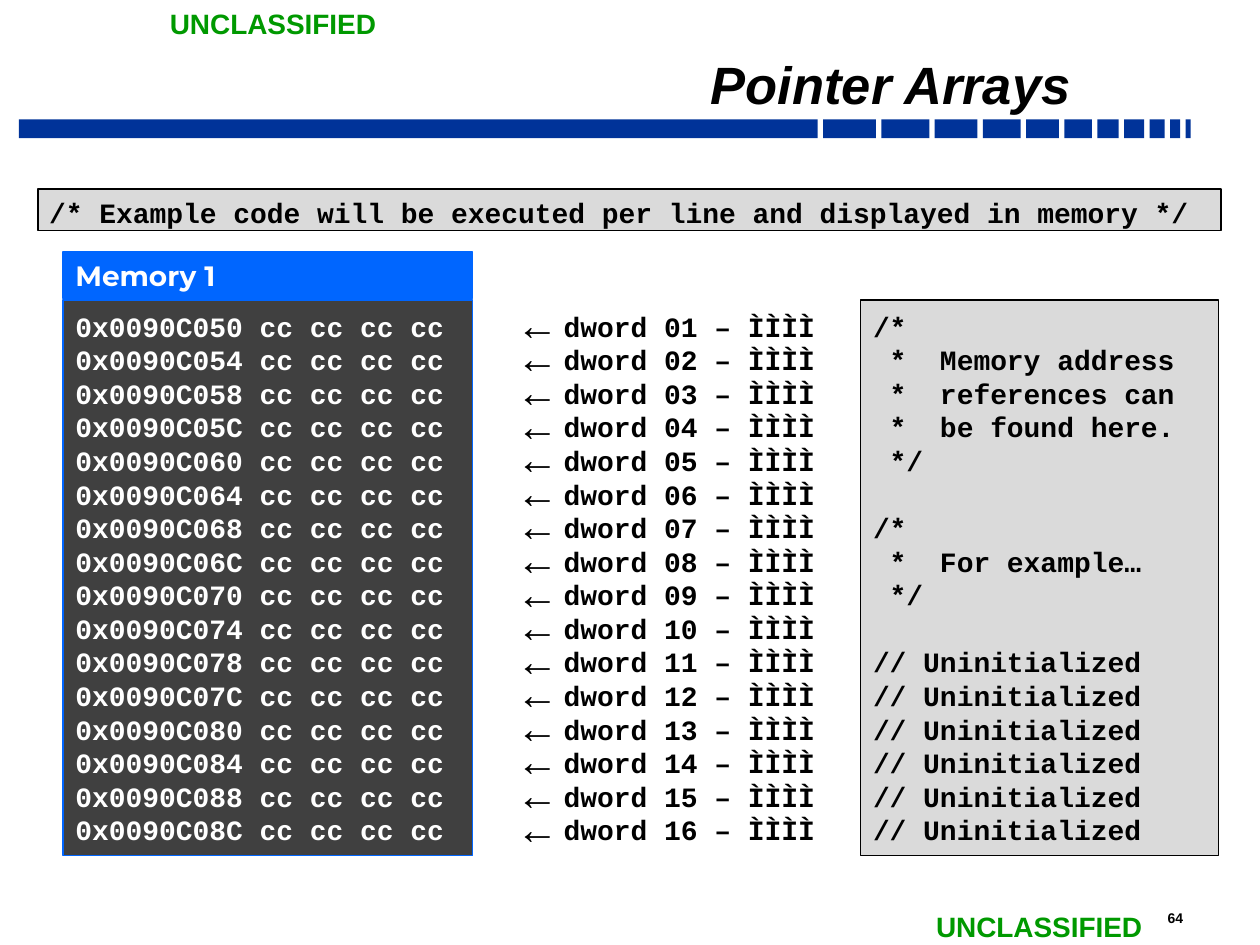
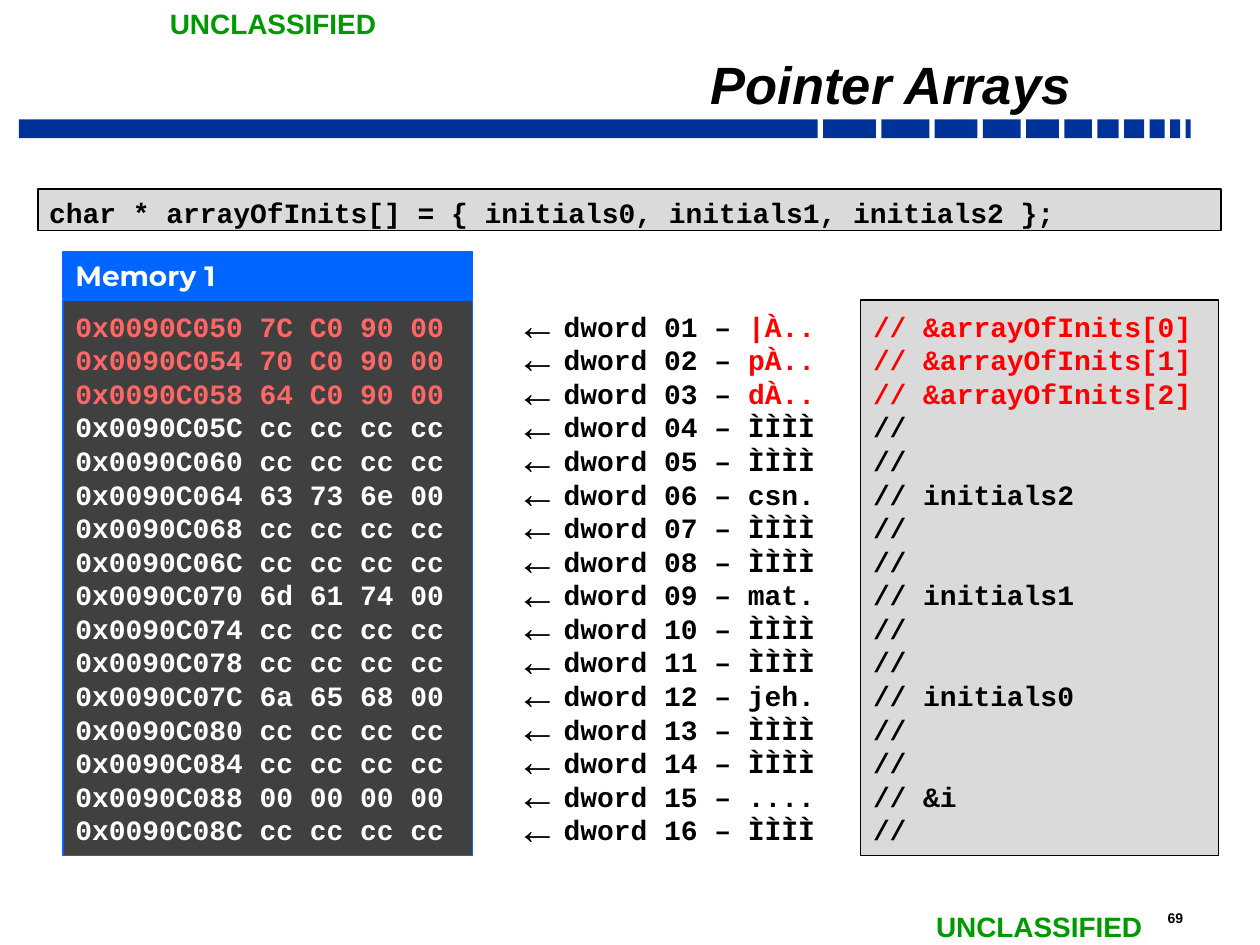
from lxml.etree import SubElement
from pptx import Presentation
from pptx.dml.color import RGBColor
from pptx.enum.shapes import MSO_SHAPE
from pptx.enum.text import MSO_ANCHOR, MSO_AUTO_SIZE, PP_ALIGN
from pptx.oxml.ns import qn
from pptx.util import Pt

COLORS = {
    "band": "003399", "marking": "009900", "header": "0066FF",
    "memory": "404040", "panel": "DADADA", "ink": "000000",
    "white": "FFFFFF", "changed": "FF0000", "changed_memory": "FF6666",
}
CODE_FONT = "Courier New"
LINE_PITCH = 19.2
FIRST_ADDRESS = 0x0090C050
DWORDS = 16
UNSET = ("cc cc cc cc", "ÌÌÌÌ")
BAND_WIDTHS = [456.5, 30.2, 27.4, 24.5, 21.6, 18.7, 15.8, 12.2, 11.5, 8.6, 5.8, 2.9]
BAND_GAP = 3.08
PANEL_TOP, PANEL_HEIGHT = 171.4, 317.5

INTRO_COMMENTS = [
    "/*", " *  Memory address", " *  references can", " *  be found here.", " */",
    "", "/*", " *  For example…", " */", "",
] + ["// Uninitialized"] * 6

INITIALS_DWORDS = {
    0: ("7C C0 90 00", "|À.."),
    1: ("70 C0 90 00", "pÀ.."),
    2: ("64 C0 90 00", "dÀ.."),
    5: ("63 73 6e 00", "csn."),
    8: ("6d 61 74 00", "mat."),
    11: ("6a 65 68 00", "jeh."),
    14: ("00 00 00 00", "...."),
}
INITIALS_NOTES = {
    0: "// &arrayOfInits[0]", 1: "// &arrayOfInits[1]", 2: "// &arrayOfInits[2]",
    5: "// initials2", 8: "// initials1", 11: "// initials0", 14: "// &i",
}


def rgb(name):
    return RGBColor.from_string(COLORS[name])


def add_run(paragraph, text, color="ink", size=16, font=CODE_FONT, italic=False):
    run = paragraph.add_run()
    run.text = text
    run.font.name = font
    run.font.size = Pt(size)
    run.font.bold = True
    run.font.italic = italic
    run.font.color.rgb = rgb(color)


def add_box(slide, left, top, width, height, fill, line=None, weight=1):
    box = slide.shapes.add_shape(
        MSO_SHAPE.RECTANGLE, Pt(left), Pt(top), Pt(width), Pt(height))
    box.shadow.inherit = False
    box.fill.solid()
    box.fill.fore_color.rgb = rgb(fill)
    if line:
        box.line.color.rgb = rgb(line)
        box.line.width = Pt(weight)
    else:
        box.line.fill.background()
    box.text_frame.word_wrap = True
    box.text_frame.vertical_anchor = MSO_ANCHOR.MIDDLE
    return box.text_frame


def add_label(slide, left, top, width, height, wrap=True):
    label = slide.shapes.add_textbox(Pt(left), Pt(top), Pt(width), Pt(height))
    label.text_frame.word_wrap = wrap
    return label.text_frame


def add_bullet_arrow(paragraph):
    properties = paragraph._p.get_or_add_pPr()
    properties.set("marL", str(Pt(27)))
    properties.set("indent", str(-Pt(27)))
    color = SubElement(properties, qn("a:buClr"))
    SubElement(color, qn("a:srgbClr"), val=COLORS["ink"])
    SubElement(properties, qn("a:buSzPct"), val="150000")
    SubElement(properties, qn("a:buFont"), typeface="Arial")
    SubElement(properties, qn("a:buChar"), char="←")


def write_lines(frame, lines, arrows=False):
    gap = 0
    started = False
    for runs in lines:
        if not any(text for text, _ in runs):
            gap += LINE_PITCH
            continue
        paragraph = frame.add_paragraph() if started else frame.paragraphs[0]
        started = True
        if arrows:
            add_bullet_arrow(paragraph)
        paragraph.alignment = PP_ALIGN.LEFT
        paragraph.line_spacing = Pt(LINE_PITCH)
        if gap:
            paragraph.space_before = Pt(gap)
            gap = 0
        for text, color in runs:
            add_run(paragraph, text, color)


def add_title(slide, text):
    title = slide.shapes.title
    title.left, title.top, title.width, title.height = (
        Pt(120.2), Pt(25.2), Pt(498.2), Pt(42.5))
    frame = title.text_frame
    frame.auto_size = MSO_AUTO_SIZE.NONE
    frame.word_wrap = True
    frame.vertical_anchor = MSO_ANCHOR.BOTTOM
    frame.margin_left = frame.margin_right = Pt(6.5)
    frame.margin_top = frame.margin_bottom = Pt(3)
    paragraph = frame.paragraphs[0]
    paragraph.alignment = PP_ALIGN.RIGHT
    paragraph.line_spacing = 0.7
    add_run(paragraph, text, size=30, font="Arial", italic=True)


def add_frame(slide, number):
    left = 10.8
    for width in BAND_WIDTHS:
        add_box(slide, left, 68.2, width, 10.8, "band")
        left += width + BAND_GAP
    page = add_label(slide, 660.2, 516.2, 38.9, 16.6)
    add_run(page.paragraphs[0], str(number), size=8, font="Arial")
    for left, top in [(90, 0), (527.8, 516.2)]:
        marking = add_label(slide, left, top, 133.9, 26.6, wrap=False)
        add_run(marking.paragraphs[0], "UNCLASSIFIED", "marking", font="Arial")


def add_statement(slide, code):
    frame = add_box(slide, 21.6, 108, 676.1, 23.8, "panel", "ink")
    frame.margin_left = frame.margin_right = Pt(6.5)
    frame.margin_top, frame.margin_bottom = Pt(3.2), 0
    write_lines(frame, [[(code, "ink")]])


def add_memory(slide, dwords, changed):
    header = add_box(slide, 36, 144, 234, 26.6, "header", "header", 0.75)
    header.paragraphs[0].alignment = PP_ALIGN.LEFT
    add_run(header.paragraphs[0], "Memory 1", "white", font="Montserrat")
    body = add_box(slide, 36, PANEL_TOP, 234, PANEL_HEIGHT, "memory", "header", 0.75)
    write_lines(body, [
        [(f"0x{FIRST_ADDRESS + 4 * i:08X} {dwords.get(i, UNSET)[0]}",
          "changed_memory" if i in changed else "white")]
        for i in range(DWORDS)])


def add_dwords(slide, dwords, changed):
    frame = add_label(slide, 288, PANEL_TOP, 409, PANEL_HEIGHT)
    frame.vertical_anchor = MSO_ANCHOR.MIDDLE
    write_lines(frame, [
        [(f"dword {i + 1:02d} – ", "ink"),
         (dwords.get(i, UNSET)[1], "changed" if i in changed else "ink")]
        for i in range(DWORDS)], arrows=True)


def add_comments(slide, comments, changed):
    frame = add_box(slide, 491.8, PANEL_TOP, 204.5, PANEL_HEIGHT, "panel", "ink")
    write_lines(frame, [
        [(text, "changed" if i in changed else "ink")]
        for i, text in enumerate(comments)])


def add_memory_slide(deck, number, statement, comments, dwords, changed):
    slide = deck.slides.add_slide(deck.slide_layouts[5])
    add_frame(slide, number)
    add_title(slide, "Pointer Arrays")
    add_memory(slide, dwords, changed)
    add_dwords(slide, dwords, changed)
    add_statement(slide, statement)
    add_comments(slide, comments, changed)


def main():
    deck = Presentation()
    deck.slide_width, deck.slide_height = Pt(720), Pt(540)
    add_memory_slide(
        deck, 64,
        "/* Example code will be executed per line and displayed in memory */",
        INTRO_COMMENTS, {}, ())
    add_memory_slide(
        deck, 69,
        "char * arrayOfInits[] = { initials0, initials1, initials2 };",
        [INITIALS_NOTES.get(i, "//") for i in range(DWORDS)],
        INITIALS_DWORDS, range(3))
    deck.save("out.pptx")


if __name__ == "__main__":
    main()
